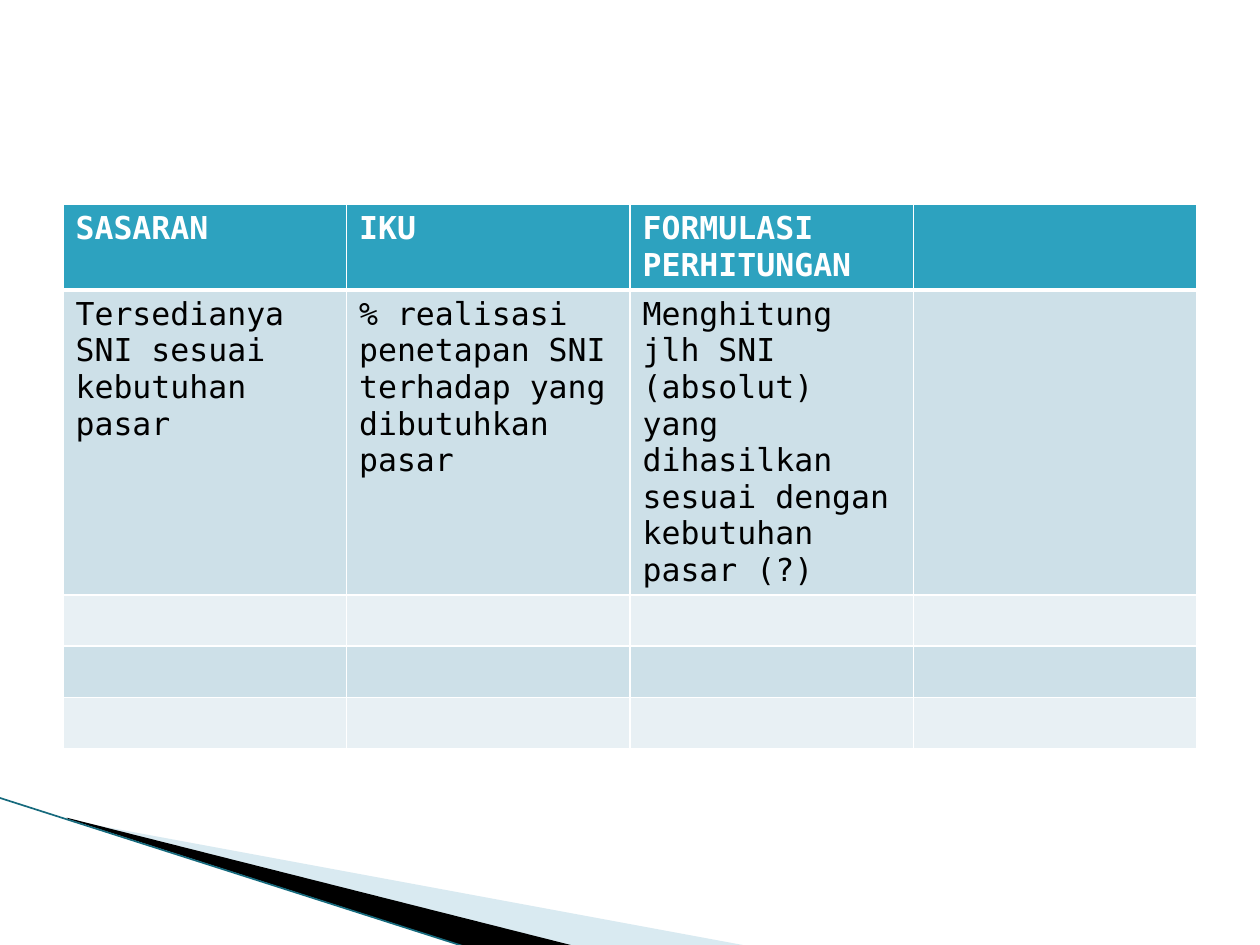
"""Build a slide with an indicator table above a wedge-shaped corner decoration."""
import pptx
import pptx.dml.color
import pptx.enum.shapes
import pptx.oxml
import pptx.oxml.ns
import pptx.util
from pptx.dml.color import RGBColor
from pptx.util import Inches

WHITE = RGBColor(0xFF, 0xFF, 0xFF)
BLACK = RGBColor(0, 0, 0)
TEAL = RGBColor(0x2D, 0xA2, 0xBF)
DARK_TEAL = RGBColor(0x16, 0x6A, 0x7D)
PALE_BLUE = RGBColor(0xA0, 0xCB, 0xDC)
BAND_DARK = RGBColor(0xCD, 0xE0, 0xE8)
BAND_LIGHT = RGBColor(0xE8, 0xF0, 0xF4)
FONT = "DejaVu Sans Mono"
ROW_COUNT, COLUMN_COUNT = 5, 4
CONTENT = [
    ["SASARAN", "IKU", "FORMULASI PERHITUNGAN"],
    [
        "Tersedianya SNI sesuai kebutuhan pasar",
        "% realisasi penetapan SNI terhadap yang dibutuhkan pasar",
        "Menghitung jlh SNI (absolut) yang dihasilkan sesuai dengan kebutuhan pasar (?)",
    ],
]


def set_frame(wedge, frame):
    left, top, width, height = map(Inches, frame)
    shift_x, shift_y = wedge.left - left, wedge.top - top
    for outline in wedge._element.iter(pptx.oxml.ns.qn("a:path")):
        outline.set("w", str(width))
        outline.set("h", str(height))
        for point in outline.iter(pptx.oxml.ns.qn("a:pt")):
            point.set("x", str(int(point.get("x")) + shift_x))
            point.set("y", str(int(point.get("y")) + shift_y))
    wedge.left, wedge.top, wedge.width, wedge.height = left, top, width, height


def add_wedge(page, frame, points, color, opacity=100):
    start, *rest = [(Inches(x), Inches(y)) for x, y in points]
    builder = page.shapes.build_freeform(*start)
    builder.add_line_segments(rest, close=True)
    wedge = builder.convert_to_shape()
    set_frame(wedge, frame)
    wedge.shadow.inherit = False
    wedge.fill.solid()
    wedge.fill.fore_color.rgb = color
    wedge.line.fill.background()
    if opacity < 100:
        tint = wedge._element.spPr.find(".//" + pptx.oxml.ns.qn("a:srgbClr"))
        alpha = pptx.oxml.parse_xml(
            f'<a:alpha {pptx.oxml.ns.nsdecls("a")} val="{opacity * 1000}"/>'
        )
        tint.append(alpha)


def add_edge(page, start, end):
    edge = page.shapes.add_connector(
        pptx.enum.shapes.MSO_CONNECTOR.STRAIGHT, *map(Inches, start + end)
    )
    edge.line.color.rgb = DARK_TEAL
    edge.line.width = pptx.util.Pt(0.95)
    edge._element.spPr.append(
        pptx.oxml.parse_xml(f'<a:effectLst {pptx.oxml.ns.nsdecls("a")}/>')
    )


def set_borders(cell, widths):
    properties = cell._tc.get_or_add_tcPr()
    for side, points in widths.items():
        properties.append(pptx.oxml.parse_xml(
            f'<a:ln{side} {pptx.oxml.ns.nsdecls("a")} w="{pptx.util.Pt(points)}">'
            f'<a:solidFill><a:srgbClr val="{WHITE}"/></a:solidFill></a:ln{side}>'
        ))


def format_cell(cell, row):
    set_borders(cell, {"L": 1, "R": 1, "T": 3 if row == 1 else 1, "B": 3 if row == 0 else 1})
    cell.fill.solid()
    cell.fill.fore_color.rgb = TEAL if row == 0 else BAND_DARK if row % 2 else BAND_LIGHT
    para = cell.text_frame.paragraphs[0]
    para.font.size = pptx.util.Pt(18)
    for span in para.runs:
        span.font.name = FONT
        span.font.size = pptx.util.Pt(18)
        span.font.bold = row == 0
        span.font.color.rgb = WHITE if row == 0 else BLACK


def add_indicator_table(page):
    table = page.shapes.add_table(
        ROW_COUNT, COLUMN_COUNT, Inches(0.5), Inches(1.62), Inches(9), Inches(2.03)
    ).table
    for row, texts in enumerate(CONTENT):
        for column, text in enumerate(texts):
            table.cell(row, column).text_frame.text = text
    for row in range(ROW_COUNT):
        for column in range(COLUMN_COUNT):
            format_cell(table.cell(row, column), row)


def main():
    deck = pptx.Presentation()
    deck.slide_width, deck.slide_height = Inches(10), Inches(7.5)
    page = deck.slides.add_slide(deck.slide_layouts[6])
    add_wedge(page, (0.78, 5.47, 4.16, 1.58),
              [(0.55, 6.51), (5.95, 7.51), (4.56, 7.51), (0.55, 6.5)], PALE_BLUE, 40)
    add_wedge(page, (-0.06, 6.33, 4.16, 0.92),
              [(0.53, 6.49), (4.57, 7.51), (3.72, 7.52), (0.54, 6.5)], BLACK)
    add_edge(page, (-0.01, 6.33), (3.71, 7.52))
    add_indicator_table(page)
    deck.save("out.pptx")


if __name__ == "__main__":
    main()
